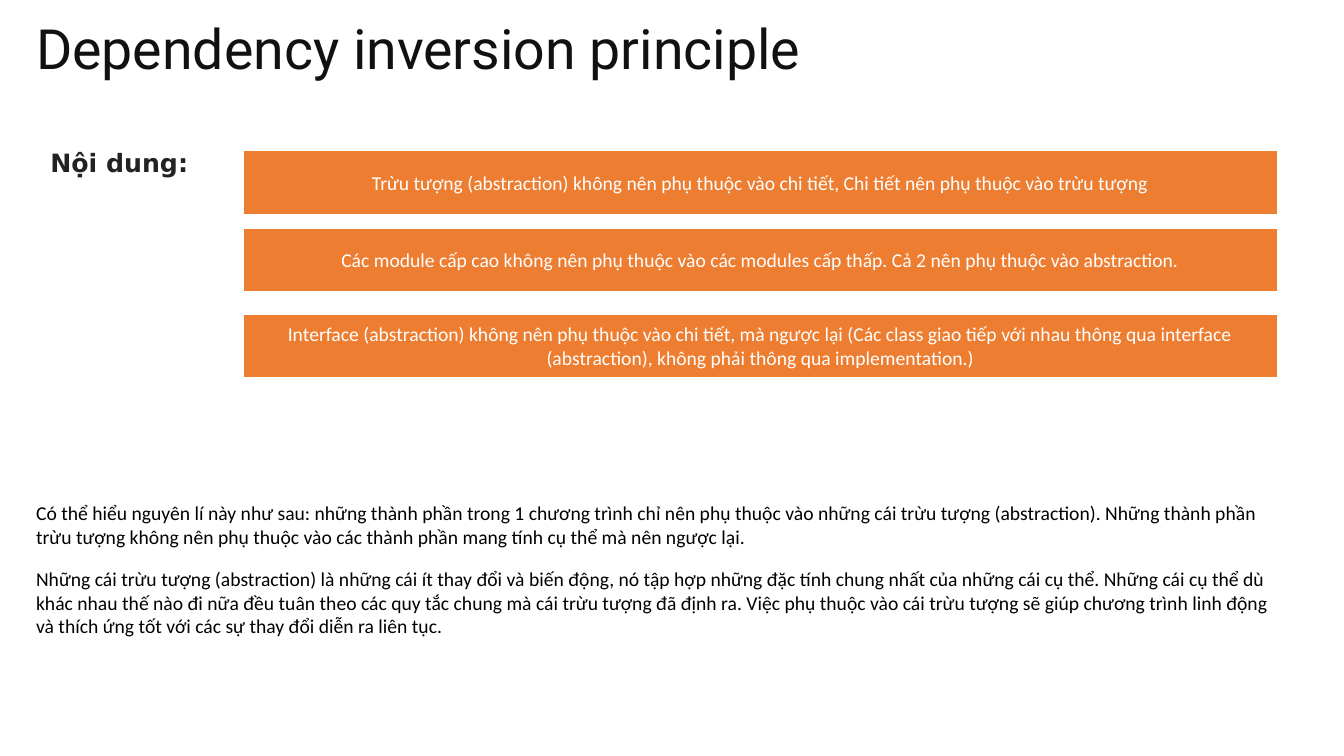
from pptx import Presentation
from pptx import util as u
from pptx.dml.color import RGBColor
from pptx.enum import shapes, text

WHITE = RGBColor(0xFF, 0xFF, 0xFF)
BLACK = RGBColor(0, 0, 0)
TITLE_INK = RGBColor(0x11, 0x11, 0x11)
LABEL_INK = RGBColor(0x22, 0x22, 0x22)
ORANGE = RGBColor(0xED, 0x7D, 0x31)

TITLE = {"name": "Roboto", "size": u.Pt(39.6), "color": TITLE_INK}
LABEL = {"name": "DejaVu Sans", "size": u.Pt(18), "color": LABEL_INK, "bold": True}
BODY = {"name": "Calibri", "size": u.Pt(14), "color": BLACK}
BAR = {**BODY, "color": WHITE}

PRINCIPLES = [
    (3.78, "Trừu tượng (abstraction) không nên phụ thuộc vào chi tiết, "
           "Chi tiết nên phụ thuộc vào trừu tượng"),
    (5.74, "Các module cấp cao không nên phụ thuộc vào các modules cấp thấp. "
           "Cả 2 nên phụ thuộc vào abstraction."),
    (7.9, "Interface (abstraction) không nên phụ thuộc vào chi tiết, mà ngược lại "
          "(Các class giao tiếp với nhau thông qua interface (abstraction), "
          "không phải thông qua implementation.)"),
]
EXPLANATIONS = [
    (12.5, 2.06, "Có thể hiểu nguyên lí này như sau: những thành phần trong 1 chương trình "
                 "chỉ nên phụ thuộc vào những cái trừu tượng (abstraction). Những thành phần "
                 "trừu tượng không nên phụ thuộc vào các thành phần mang tính cụ thể mà nên "
                 "ngược lại."),
    (14.17, 2.64, "Những cái trừu tượng (abstraction) là những cái ít thay đổi và biến động, "
                  "nó tập hợp những đặc tính chung nhất của những cái cụ thể. Những cái cụ thể "
                  "dù khác nhau thế nào đi nữa đều tuân theo các quy tắc chung mà cái trừu tượng "
                  "đã định ra. Việc phụ thuộc vào cái trừu tượng sẽ giúp chương trình linh động "
                  "và thích ứng tốt với các sự thay đổi diễn ra liên tục."),
]


class SlideBuilder:
    """Holds the current slide and the shared bar style."""

    def __init__(self, page, fill, outline):
        self.page = page
        self.fill = fill
        self.outline = outline

    def add_words(self, box, words, style, anchor, align):
        frame = box.text_frame
        frame.word_wrap = True
        frame.vertical_anchor = anchor
        para = frame.paragraphs[0]
        para.alignment = align
        span = para.add_run()
        span.text = words
        for key, value in style.items():
            if key == "color":
                span.font.color.rgb = value
            else:
                setattr(span.font, key, value)
        return para

    def text_box(self, place, words, style, anchor=text.MSO_ANCHOR.TOP):
        box = self.page.shapes.add_textbox(*map(u.Cm, place))
        return self.add_words(box, words, style, anchor, text.PP_ALIGN.LEFT)

    def bar(self, place, words, style):
        box = self.page.shapes.add_shape(shapes.MSO_SHAPE.RECTANGLE, *map(u.Cm, place))
        box.shadow.inherit = False
        box.fill.solid()
        box.fill.fore_color.rgb = self.fill
        box.line.color.rgb = self.outline
        box.line.width = u.Pt(1.5)
        return self.add_words(box, words, style, text.MSO_ANCHOR.MIDDLE, text.PP_ALIGN.CENTER)


def main():
    deck = Presentation()
    deck.slide_width, deck.slide_height = u.Cm(33.87), u.Cm(19.05)
    page = deck.slides.add_slide(deck.slide_layouts[6])
    builder = SlideBuilder(page, ORANGE, WHITE)

    # Title and label
    title = builder.text_box((0.66, 0.36, 29.21, 1.88), "Dependency inversion principle",
                             TITLE, text.MSO_ANCHOR.MIDDLE)
    title.line_spacing = 0.9
    builder.text_box((1.02, 3.58, 16.94, 1.02), "Nội dung:", LABEL)

    # Principle bars
    for top, words in PRINCIPLES:
        builder.bar((6.12, top, 26.09, 1.63), words, BAR)

    # Explanation paragraphs
    for top, height, words in EXPLANATIONS:
        builder.text_box((0.66, top, 31.93, height), words, BODY)

    deck.save("out.pptx")


if __name__ == "__main__":
    main()
